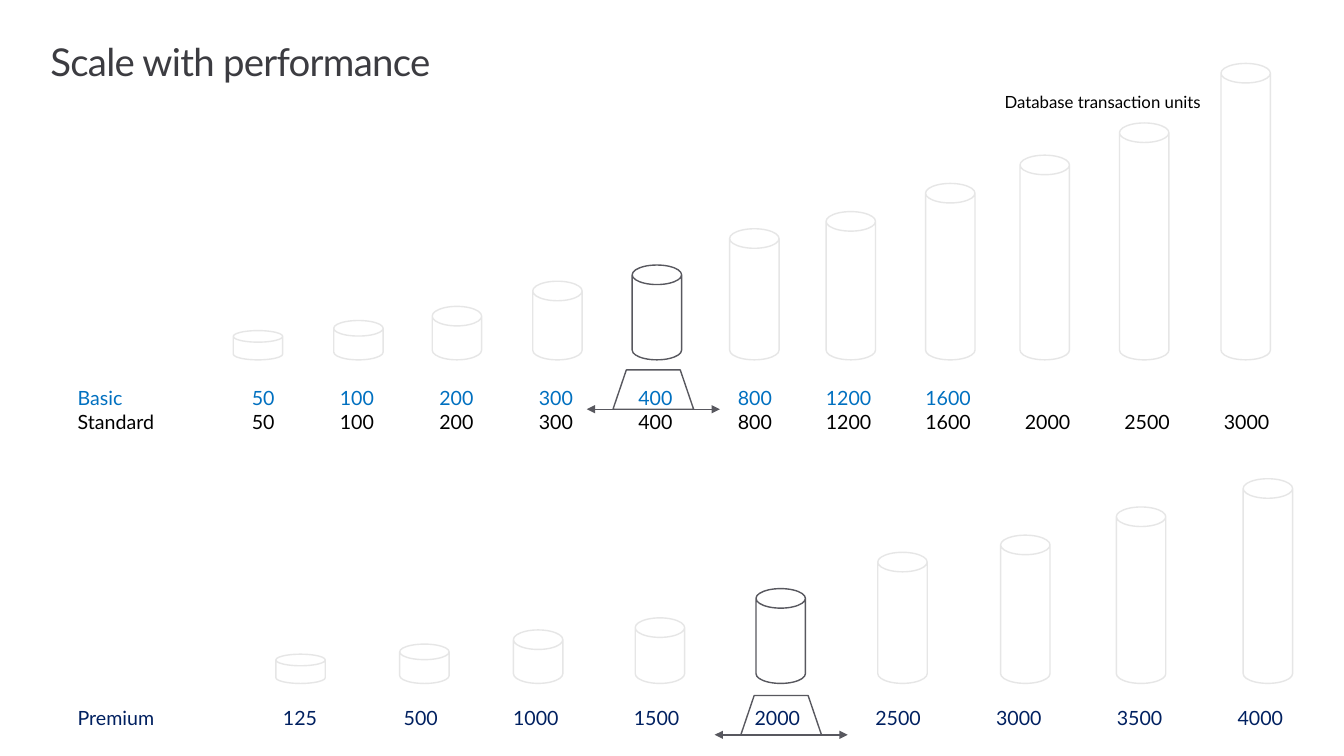
from dataclasses import dataclass

import pptx
import pptx.dml.color
import pptx.enum.shapes
import pptx.enum.text
import pptx.oxml.ns
import pptx.util
from lxml import etree

Inches = pptx.util.Inches
Pt = pptx.util.Pt
SHAPE = pptx.enum.shapes.MSO_SHAPE
ALIGN = pptx.enum.text.PP_ALIGN
ANCHOR = pptx.enum.text.MSO_ANCHOR
qn = pptx.oxml.ns.qn


@dataclass(frozen=True)
class Theme:
    font: str = "Lato"
    title_size: float = 27.4
    note_size: float = 12
    label_size: float = 14
    line_width: float = 1
    title: str = "3C3C41"
    text: str = "000000"
    basic: str = "0070C0"
    premium: str = "002060"
    paper: str = "FFFFFF"
    idle: str = "E6E6E6"
    active: str = "58585F"


THEME = Theme()
W, H = 13.33, 7.5
CAN_W, CAN_CURVE = 0.49, 0.395
ROW_H = 0.21
SLIDER_INSET = 0.2  # from the column's right edge to the slider's centre
SLIDER_W, SLIDER_H, ARROW_W = 0.8, 0.39, 1.32

# Each level: can height, distance of can from the column's right edge
DATABASE_LEVELS = [
    (0.29, 0.42), (0.39, 0.41), (0.53, 0.42), (0.78, 0.41), (0.94, 0.41), (1.30, 0.43),
    (1.47, 0.46), (1.75, 0.46), (2.03, 0.51), (2.35, 0.51), (2.94, 0.49),
]
PREMIUM_LEVELS = [
    (0.29, 0.42), (0.39, 0.39), (0.53, 0.46), (0.65, 0.45), (0.94, 0.45),
    (1.30, 0.44), (1.47, 0.42), (1.75, 0.47), (2.03, 0.41),
]
SMALL = ["50", "100", "200", "300", "400", "800", "1200", "1600"]
DATABASE_ROWS = [
    (THEME.basic, ["Basic", *SMALL]),
    (THEME.text, ["Standard", *SMALL, "2000", "2500", "3000"]),
]
PREMIUM_ROWS = [
    (THEME.premium, ["Premium", "125", "500", "1000", "1500", "2000",
                     "2500", "3000", "3500", "4000"]),
]


def rgb(color):
    return pptx.dml.color.RGBColor.from_string(color)


def inches(*lengths):
    return [Inches(n) for n in lengths]


def add_run(p, text, size, color):
    r = p.add_run()
    r.text = text
    r.font.name = THEME.font
    r.font.size = Pt(size)
    r.font.color.rgb = rgb(color)
    return r


def set_margins(frame, left, top, right, bottom):
    (frame.margin_left, frame.margin_top,
     frame.margin_right, frame.margin_bottom) = inches(left, top, right, bottom)


def add_outline(s, kind, box, adjustment, color):
    sp = s.shapes.add_shape(kind, *inches(*box))
    sp.adjustments[0] = adjustment
    sp.shadow.inherit = False
    sp.line.color.rgb = rgb(color)
    sp.line.width = Pt(THEME.line_width)
    return sp


def add_title(s, box):
    sp = s.shapes.title
    sp.left, sp.top, sp.width, sp.height = inches(*box)
    tf = sp.text_frame
    tf.auto_size = pptx.enum.text.MSO_AUTO_SIZE.NONE
    tf.vertical_anchor = ANCHOR.TOP
    set_margins(tf, 0, 0.1, 0.16, 0.1)
    p = tf.paragraphs[0]
    p.alignment = ALIGN.LEFT
    p.line_spacing = 0.9
    r = add_run(p, "Scale with performance", THEME.title_size, THEME.title)
    r.font._element.set("spc", "-50")


def add_note(s, box):
    tf = s.shapes.add_textbox(*inches(*box)).text_frame
    tf.word_wrap = True
    p = tf.paragraphs[0]
    p.alignment = ALIGN.RIGHT
    p.line_spacing = 0.9
    add_run(p, "Database transaction units", THEME.note_size, THEME.text)


def add_labels(s, box, rows, columns):
    table = s.shapes.add_table(len(rows), columns, *inches(*box)).table
    table.first_row = table.horz_banding = False
    for row, (color, labels) in enumerate(rows):
        table.rows[row].height = Inches(ROW_H)
        for col in range(columns):
            cell = table.cell(row, col)
            cell.fill.background()
            cell.vertical_anchor = ANCHOR.BOTTOM
            set_margins(cell, 0.01, 0.01, 0.01, 0)
            p = cell.text_frame.paragraphs[0]
            p.alignment = ALIGN.RIGHT if col else ALIGN.LEFT
            if col < len(labels):
                add_run(p, labels[col], THEME.label_size, color)
            else:
                # Keeps an unused cell as low as its row
                etree.SubElement(p._p, qn("a:endParaRPr"), sz=str(THEME.label_size * 100))


def add_slider(s, center, top):
    bottom = top + SLIDER_H
    half = ARROW_W / 2
    arrow = s.shapes.add_connector(
        pptx.enum.shapes.MSO_CONNECTOR.STRAIGHT,
        *inches(center - half, bottom, center + half, bottom))
    arrow.line.color.rgb = rgb(THEME.active)
    arrow.line.width = Pt(THEME.line_width)
    ln = arrow.line._get_or_add_ln()
    for end in ("a:headEnd", "a:tailEnd"):
        etree.SubElement(ln, qn(end), type="triangle")
    etree.SubElement(arrow._element.spPr, qn("a:effectLst"))
    box = (center - SLIDER_W / 2, top, SLIDER_W, SLIDER_H)
    add_outline(s, SHAPE.TRAPEZOID, box, 0.34, THEME.active).fill.background()


def add_tier(s, box, levels, rows, chosen, label_gap, slider_gap):
    """Cans stand on the bottom of the box; labels and slider hang below."""
    left, top, width, height = box
    base = top + height
    columns = len(levels) + 1
    pitch = width / columns

    # Cans
    for i, (can_h, inset) in enumerate(levels):
        can_left = left + (i + 2) * pitch - inset
        color = THEME.active if i == chosen else THEME.idle
        can = add_outline(s, SHAPE.CAN, (can_left, base - can_h, CAN_W, can_h),
                          CAN_CURVE, color)
        can.fill.solid()
        can.fill.fore_color.rgb = rgb(THEME.paper)

    # Labels and slider
    add_labels(s, (left, base + label_gap, width, ROW_H * len(rows)), rows, columns)
    center = left + (chosen + 2) * pitch - SLIDER_INSET
    add_slider(s, center, base + slider_gap)


def main():
    prs = pptx.Presentation()
    prs.slide_width, prs.slide_height = inches(W, H)
    s = prs.slides.add_slide(prs.slide_layouts[5])
    add_title(s, (0.5, 0.33, 12.36, 0.89))
    add_note(s, (9.78, 0.88, 2.23, 0.28))
    add_tier(s, (0.76, 0.63, 11.84, 2.94), DATABASE_ROWS and DATABASE_LEVELS,
             DATABASE_ROWS, chosen=4, label_gap=0.25, slider_gap=0.1)
    add_tier(s, (0.76, 4.75, 11.98, 2.03), PREMIUM_LEVELS,
             PREMIUM_ROWS, chosen=4, label_gap=0.22, slider_gap=0.12)
    prs.save("out.pptx")


if __name__ == "__main__":
    main()
